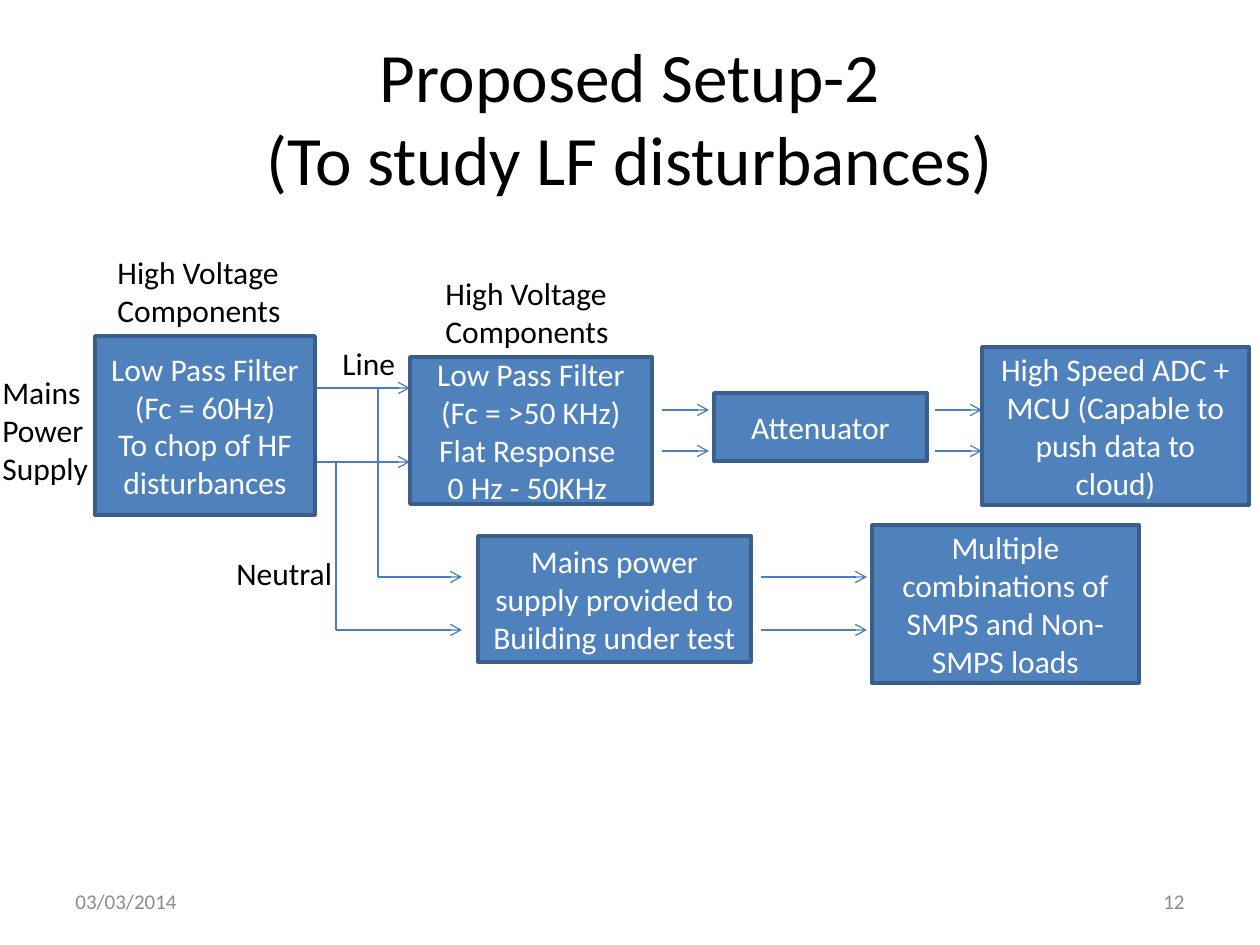
from lxml.etree import SubElement
from pptx import Presentation
from pptx.dml.color import RGBColor as Rgb
from pptx.enum.shapes import MSO_CONNECTOR as Conn, MSO_SHAPE as Shape
from pptx.enum.text import MSO_ANCHOR as Anchor, MSO_AUTO_SIZE as Auto, PP_ALIGN as Align
from pptx.oxml.ns import qn
from pptx.util import Emu, Pt

PX = 914400 // 126
HUES = {"ink": "000000", "paper": "FFFFFF", "fill": "4F81BD",
        "edge": "3A5F8C", "wire": "4B7EBC", "foot": "8C8C8C"}


def hue(name):
    """Give a colour by its name."""
    return Rgb.from_string(HUES[name])


def emu(*sizes):
    """Turn pixels into EMU."""
    return [Emu(size * PX) for size in sizes]


def write(shape, text, size, tint, align, **frame):
    """Write text, one paragraph a line, with the given frame values."""
    body = shape.text_frame
    body.text = text
    for key, value in frame.items():
        setattr(body, key, value)
    for para in body.paragraphs:
        para.alignment = align
        for run in para.runs:
            for key, value in {"size": Pt(size), "name": "Calibri"}.items():
                setattr(run.font, key, value)
            run.font.color.rgb = hue(tint)


def block(slide, box, text):
    """Draw a filled stage of the chain."""
    rect = slide.shapes.add_shape(Shape.RECTANGLE, *emu(*box))
    rect.shadow.inherit = False
    rect.fill.solid()
    rect.fill.fore_color.rgb = hue("fill")
    rect.line.color.rgb = hue("edge")
    rect.line.width = Pt(2)
    write(rect, text, 18, "paper", Align.CENTER,
          vertical_anchor=Anchor.MIDDLE, word_wrap=True)


def label(slide, box, text):
    """Place a plain label that does not wrap."""
    note = slide.shapes.add_textbox(*emu(*box))
    write(note, text, 18, "ink", Align.LEFT,
          word_wrap=False, auto_size=Auto.SHAPE_TO_FIT_TEXT)


def wire(slide, x1, y1, x2, y2, head=True):
    """Draw a wire, with an open arrowhead at its end if asked."""
    line = slide.shapes.add_connector(Conn.STRAIGHT, *emu(x1, y1, x2, y2))
    line.line.color.rgb = hue("wire")
    line.line.width = Pt(0.75)
    if head:
        SubElement(line.line._get_or_add_ln(), qn("a:tailEnd"), type="arrow")
    SubElement(line._element.spPr, qn("a:effectLst"))


def pair(slide, x1, x2, rows):
    """Draw one arrow on each row."""
    for y in rows:
        wire(slide, x1, y, x2, y)


def heading(slide, box):
    """Fill the title placeholder."""
    title = slide.shapes.title
    for key, value in zip(("left", "top", "width", "height"), emu(*box)):
        setattr(title, key, value)
    write(title, "Proposed Setup-2\v(To study LF disturbances)", 39.6, "ink",
          Align.CENTER, vertical_anchor=Anchor.MIDDLE, auto_size=Auto.NONE)


def sense(slide, left, top):
    """Draw the measuring chain from the mains to the ADC."""
    pair(slide, left + 315, left + 410, (top + 141, top + 215))
    for start in (662, 935):
        pair(slide, left + start, left + start + 47, (top + 163, top + 204))
    stages = [
        (95, 89, 220, 179, "Low Pass Filter (Fc = 60Hz)\nTo chop of HF disturbances"),
        (410, 110, 242, 147,
         "Low Pass Filter (Fc = >50 KHz)\nFlat Response \n0 Hz - 50KHz "),
        (714, 146, 213, 68, "Attenuator"),
        (982, 100, 267, 158, "High Speed ADC + MCU (Capable to push data to cloud)")]
    notes = [
        (-10, 120, 115, 127, "Mains\nPower \nSupply"),
        (330, 91, 79, 50, "Line"),
        (105, 0, 197, 89, "High Voltage \nComponents"),
        (433, 21, 197, 89, "High Voltage \nComponents")]
    for draw, parts in ((block, stages), (label, notes)):
        for x, y, wide, high, text in parts:
            draw(slide, (left + x, top + y, wide, high), text)


def supply(slide, left, top):
    """Draw the branch that feeds the building and its loads."""
    rows = (top + 189, top + 242)
    for x, start, row in ((154, 0, rows[0]), (112, 74, rows[1])):
        wire(slide, left + x, top + start, left + x, row, head=False)
        wire(slide, left + x, row, left + 238, row)
    pair(slide, left + 537, left + 643, rows)
    block(slide, (left + 254, top + 148, 273, 126),
          "Mains power supply provided to Building under test")
    block(slide, (left + 648, top + 137, 267, 158),
          "Multiple combinations of SMPS and Non-SMPS loads")
    label(slide, (left, top + 160, 122, 50), "Neutral")


def footer(slide, left, top, wide, high):
    """Place the date and the page number at the two ends."""
    part = 294
    for x, text, align in ((left, "03/03/2014", Align.LEFT),
                           (left + wide - part, "12", Align.RIGHT)):
        note = slide.shapes.add_textbox(*emu(x, top, part, high))
        write(note, text, 12, "foot", align,
              vertical_anchor=Anchor.MIDDLE, word_wrap=True)


def main():
    """Build and save the slide."""
    deck = Presentation()
    deck.slide_width, deck.slide_height = emu(1260, 945)
    slide = deck.slides.add_slide(deck.slide_layouts[5])
    heading(slide, (63, 38, 1134, 157))
    sense(slide, 0, 247)
    supply(slide, 224, 388)
    footer(slide, 63, 876, 1134, 50)
    deck.save("out.pptx")


main()
